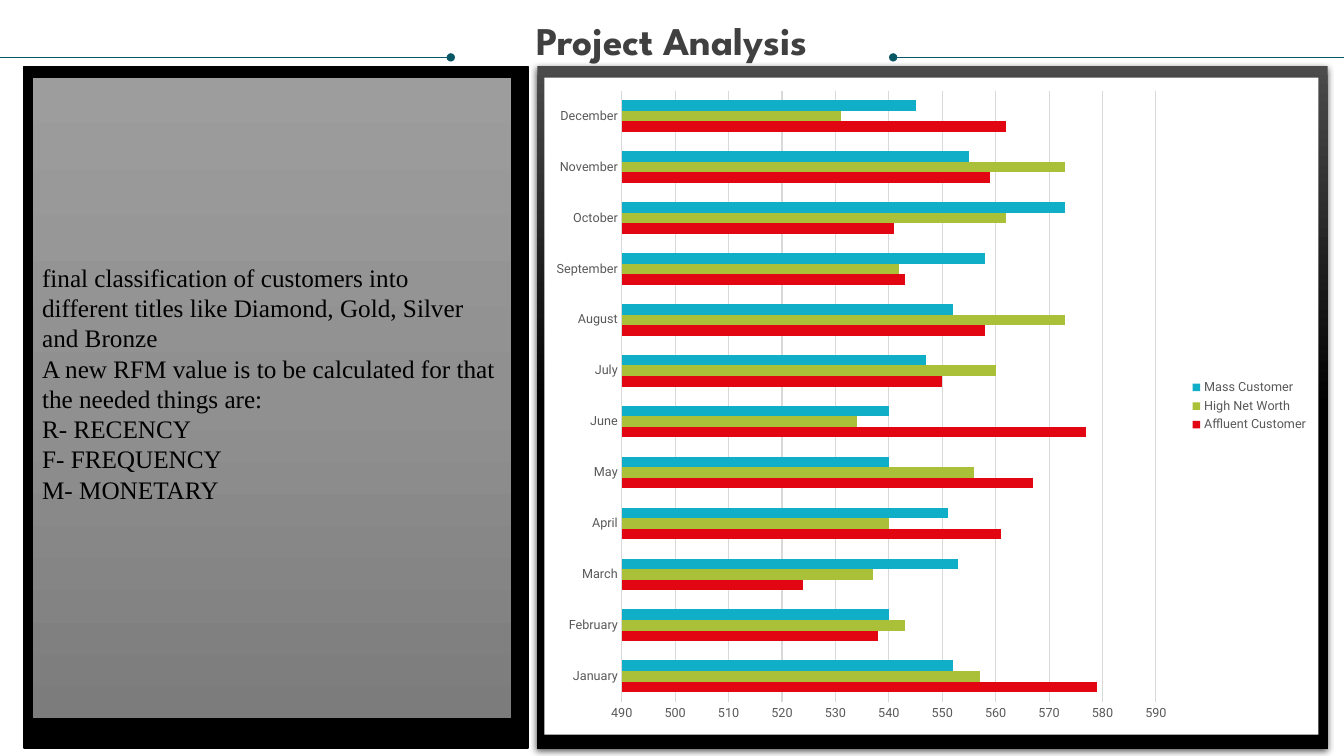
from copy import deepcopy
from dataclasses import dataclass

from lxml import etree
from pptx import Presentation
from pptx import util as u
from pptx.chart import data as cd
from pptx.dml import color
from pptx.enum import chart as ch, shapes, text
from pptx.oxml import parse_xml
from pptx.oxml.ns import nsdecls, qn

COLORS = {
    "title": "404040", "rule": "085764", "black": "000000", "white": "FFFFFF",
    "axis": "595959", "grid": "D9D9D9",
    "red": "E20613", "green": "A9C038", "blue": "11AEC7",
    "frame": "4B4B4B", "light": "9D9D9D", "mid": "909090", "dark": "7C7C7C",
}


@dataclass
class Box:
    left: float
    top: float
    width: float
    height: float
    fills: tuple[str, ...]
    line: float = 0
    shadow: bool = False

    def place(self) -> list[u.Length]:
        return [u.Pt(v) for v in (self.left, self.top, self.width, self.height)]


@dataclass
class Rule:
    edge: float
    dot: float


@dataclass
class Segment:
    name: str
    color: str
    values: tuple[int, ...]


FRAME = Box(383.8, 47.5, 564.5, 487.4, ("frame", "black", "black"), shadow=True)
PANEL = Box(17.3, 47.5, 360, 486.7, ("black",), 1)
NOTE = Box(23, 55.4, 342, 458, ("light", "mid", "dark"), 0.5)
CHART = Box(388.8, 55.4, 553, 469.4, ("white",))
RULES = [Rule(960, 638), Rule(0, 322)]
RULE_TOP = 41

NOTE_LINES = [
    "final classification of customers into different titles like Diamond, Gold, Silver and Bronze",
    "A new RFM value is to be calculated for that the needed things are:",
    "R- RECENCY",
    "F- FREQUENCY",
    "M- MONETARY",
]
MONTHS = ["January", "February", "March", "April", "May", "June", "July",
          "August", "September", "October", "November", "December"]
SEGMENTS = [
    Segment("Affluent Customer", "red",
            (579, 538, 524, 561, 567, 577, 550, 558, 543, 541, 559, 562)),
    Segment("High Net Worth", "green",
            (557, 543, 537, 540, 556, 534, 560, 573, 542, 562, 573, 531)),
    Segment("Mass Customer", "blue",
            (552, 540, 553, 551, 540, 540, 547, 552, 558, 573, 555, 545)),
]
PLOT_LAYOUT = {"x": 0.1, "y": 0.02, "w": 0.69, "h": 0.93}


def rgb(name: str) -> color.RGBColor:
    return color.RGBColor.from_string(COLORS[name])


def set_font(font, name: str, size: float, hue: str, bold: bool = False) -> None:
    font.name, font.size, font.bold = name, u.Pt(size), bold
    font.color.rgb = rgb(hue)


def set_line(line, hue: str, width: float) -> None:
    line.color.rgb = rgb(hue)
    line.width = u.Pt(width)


def fill_gradient(s, hues: tuple[str, ...]) -> None:
    s.fill.gradient()
    s.fill.gradient_angle = 270
    stops = s.element.spPr.find(".//" + qn("a:gsLst"))
    for _ in hues[2:]:
        stops.append(deepcopy(stops[0]))
    for i, (stop, hue) in enumerate(zip(s.fill.gradient_stops, hues)):
        stop.position = i / (len(hues) - 1)
        stop.color.rgb = rgb(hue)


def add_shadow(s) -> None:
    effects = s.element.spPr.find(qn("a:effectLst"))
    effects.append(parse_xml(
        f'<a:outerShdw {nsdecls("a")} blurRad="{u.Pt(4.5)}" dist="{u.Pt(1.5)}" '
        f'dir="5400000" algn="ctr" rotWithShape="0"><a:srgbClr val="{COLORS["black"]}">'
        '<a:alpha val="63000"/></a:srgbClr></a:outerShdw>'))


def add_box(slide, box: Box):
    s = slide.shapes.add_shape(shapes.MSO_SHAPE.RECTANGLE, *box.place())
    s.shadow.inherit = False
    if len(box.fills) > 1:
        fill_gradient(s, box.fills)
    else:
        s.fill.solid()
        s.fill.fore_color.rgb = rgb(box.fills[0])
    if box.line:
        set_line(s.line, "black", box.line)
    else:
        s.line.fill.background()
    if box.shadow:
        add_shadow(s)
    return s


def add_rule(slide, rule: Rule) -> None:
    s = slide.shapes.add_connector(
        shapes.MSO_CONNECTOR.STRAIGHT,
        u.Pt(rule.edge), u.Pt(RULE_TOP), u.Pt(rule.dot), u.Pt(RULE_TOP))
    set_line(s.line, "rule", 0.5)
    etree.SubElement(s.line._get_or_add_ln(), qn("a:tailEnd"), type="oval")
    etree.SubElement(s.element.spPr, qn("a:effectLst"))


def add_title(slide, words: str) -> None:
    s = slide.shapes.title
    s.left, s.top, s.width, s.height = (u.Pt(v) for v in (18, 15.1, 923.8, 61.2))
    tf = s.text_frame
    tf.text = words
    tf.auto_size = text.MSO_AUTO_SIZE.NONE
    tf.vertical_anchor = text.MSO_ANCHOR.TOP
    tf.margin_left = tf.margin_right = tf.margin_top = tf.margin_bottom = 0
    p = tf.paragraphs[0]
    p.alignment = text.PP_ALIGN.CENTER
    p.line_spacing = 0.9
    set_font(p.font, "League Spartan", 28, "title", True)


def add_note(slide) -> None:
    tf = add_box(slide, NOTE).text_frame
    tf.word_wrap = True
    tf.vertical_anchor = text.MSO_ANCHOR.MIDDLE
    tf.margin_bottom = u.Pt(25)
    tf.text = "\n".join(NOTE_LINES)
    for p in tf.paragraphs:
        p.alignment = text.PP_ALIGN.LEFT
        set_font(p.font, "Times New Roman", 18, "black")


def white_area():
    return parse_xml(
        f'<c:spPr {nsdecls("c", "a")}><a:solidFill><a:srgbClr val="{COLORS["white"]}"/>'
        '</a:solidFill><a:ln><a:noFill/></a:ln></c:spPr>')


def style_areas(chart) -> None:
    frame = chart.element.find(qn("c:chart"))
    frame.addnext(white_area())
    area = frame.find(qn("c:plotArea"))
    for old in area.findall(qn("c:layout")):
        area.remove(old)
    layout = etree.Element(qn("c:layout"))
    manual = etree.SubElement(layout, qn("c:manualLayout"))
    etree.SubElement(manual, qn("c:layoutTarget"), val="inner")
    for mode in ("xMode", "yMode"):
        etree.SubElement(manual, qn(f"c:{mode}"), val="edge")
    for key, value in PLOT_LAYOUT.items():
        etree.SubElement(manual, qn(f"c:{key}"), val=str(value))
    area.insert(0, layout)
    area.append(white_area())


def add_customer_chart(slide) -> None:
    data = cd.CategoryChartData()
    data.categories = MONTHS
    for segment in SEGMENTS:
        data.add_series(segment.name, segment.values)
    chart = slide.shapes.add_chart(
        ch.XL_CHART_TYPE.BAR_CLUSTERED, *CHART.place(), data).chart
    chart.has_title = False
    set_font(chart.font, "Roboto", 10, "black")
    plot = chart.plots[0]
    plot.gap_width, plot.overlap, plot.vary_by_categories = 182, 0, False
    for series, segment in zip(plot.series, SEGMENTS):
        series.format.fill.solid()
        series.format.fill.fore_color.rgb = rgb(segment.color)
    months, scale = chart.category_axis, chart.value_axis
    for axis in (months, scale):
        axis.major_tick_mark = axis.minor_tick_mark = ch.XL_TICK_MARK.NONE
        set_font(axis.tick_labels.font, "Roboto", 9, "axis")
    set_line(months.format.line, "grid", 0.75)
    scale.minimum_scale, scale.maximum_scale, scale.major_unit = 490, 590, 10
    scale.format.line.fill.background()
    set_line(scale.major_gridlines.format.line, "grid", 0.75)
    chart.has_legend = True
    chart.legend.position = ch.XL_LEGEND_POSITION.RIGHT
    chart.legend.include_in_layout = False
    set_font(chart.legend.font, "Roboto", 9, "axis")
    style_areas(chart)


prs = Presentation()
prs.slide_width, prs.slide_height = u.Pt(960), u.Pt(540)
slide = prs.slides.add_slide(prs.slide_layouts[5])
add_title(slide, "Project Analysis")
add_box(slide, FRAME)
add_box(slide, PANEL)
for rule in RULES:
    add_rule(slide, rule)
add_customer_chart(slide)
add_note(slide)
prs.save("out.pptx")
